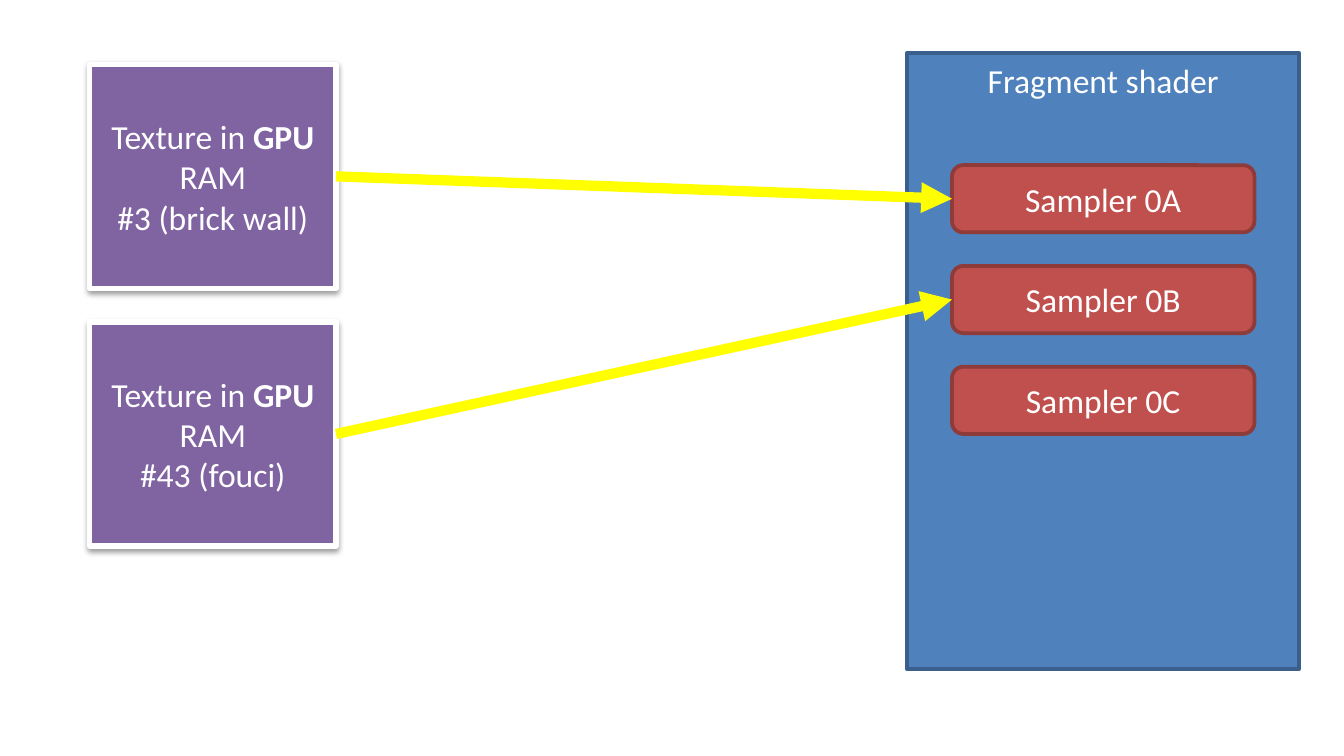
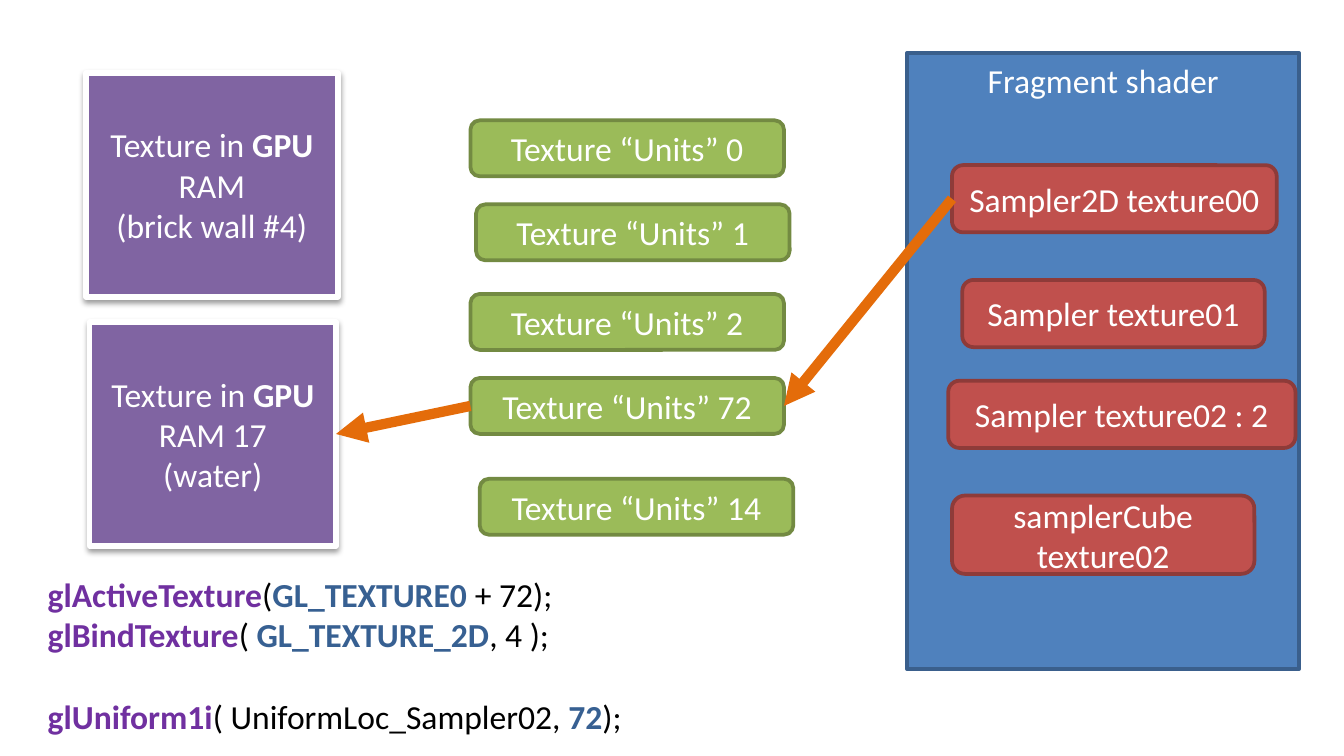
"""Build two slides on how textures reach the samplers of a fragment shader."""
from dataclasses import dataclass

from lxml import etree
from pptx import Presentation
from pptx.dml.color import RGBColor
from pptx.enum import shapes, text
from pptx.oxml import ns
from pptx.util import Pt


@dataclass(frozen=True)
class Theme:
    font: str = "Calibri"
    size: float = 18
    white: str = "FFFFFF"
    black: str = "000000"
    texture: str = "8064A2"
    shader: tuple = ("4F81BD", "3A5F8C")
    sampler: tuple = ("C0504D", "8E3B39")
    unit: tuple = ("9BBB59", "738A42")
    direct: str = "FFFF00"
    routed: str = "E46C0A"
    function: str = "7030A0"
    constant: str = "376092"
    outline: float = 2
    frame: float = 3
    arrow: float = 5.5


class Deck:
    def __init__(self, prs, theme):
        self.prs, self.theme, self.s = prs, theme, None

    def slide(self):
        self.s = self.prs.slides.add_slide(self.prs.slide_layouts[6])

    def add_runs(self, p, runs):
        for words, color, bold in runs:
            r = p.add_run()
            r.text = words
            r.font.name = self.theme.font
            r.font.size = Pt(self.theme.size)
            r.font.bold = bold
            r.font.color.rgb = RGBColor.from_string(color)

    def box(self, kind, at, fill, line, width, lines):
        sp = self.s.shapes.add_shape(kind, *map(Pt, at))
        sp.shadow.inherit = False
        sp.fill.solid()
        sp.fill.fore_color.rgb = RGBColor.from_string(fill)
        sp.line.color.rgb = RGBColor.from_string(line)
        sp.line.width = Pt(width)
        tf = sp.text_frame
        tf.word_wrap = True
        tf.vertical_anchor = text.MSO_ANCHOR.MIDDLE
        for i, runs in enumerate(lines):
            p = tf.add_paragraph() if i else tf.paragraphs[0]
            p.alignment = text.PP_ALIGN.CENTER
            self.add_runs(p, [(words, self.theme.white, bold) for words, bold in runs])
        return sp

    def texture(self, x, y, w, memory, name):
        t = self.theme
        lines = [[("Texture in ", False), ("GPU", True), (memory, False)], [(name, False)]]
        sp = self.box(shapes.MSO_SHAPE.RECTANGLE, (x, y, w, 120),
                      t.texture, t.white, t.frame, lines)
        effects = sp._element.spPr.find(ns.qn("a:effectLst"))
        shadow = etree.SubElement(effects, ns.qn("a:outerShdw"), blurRad=str(Pt(3.1)),
                                  dist=str(Pt(1.6)), dir="5400000", rotWithShape="0")
        color = etree.SubElement(shadow, ns.qn("a:srgbClr"), val=t.black)
        etree.SubElement(color, ns.qn("a:alpha"), val="38000")
        return sp

    def shader(self):
        sp = self.box(shapes.MSO_SHAPE.RECTANGLE, (486, 28.5, 210, 330),
                      *self.theme.shader, self.theme.outline, [[("Fragment shader", False)]])
        sp.text_frame.vertical_anchor = text.MSO_ANCHOR.TOP

    def pill(self, label, colors, x, y, w, h):
        return self.box(shapes.MSO_SHAPE.ROUNDED_RECTANGLE, (x, y, w, h),
                        *colors, self.theme.outline, [[(label, False)]])

    def sampler(self, label, x, y, w=162, h=36):
        return self.pill(label, self.theme.sampler, x, y, w, h)

    def unit(self, number, x, y):
        return self.pill(f"Texture “Units” {number}", self.theme.unit, x, y, 168, 30)

    def arrow(self, start, start_side, end, end_side, color):
        c = self.s.shapes.add_connector(shapes.MSO_CONNECTOR.STRAIGHT, 0, 0, 0, 0)
        c.begin_connect(start, start_side)
        c.end_connect(end, end_side)
        c.line.color.rgb = RGBColor.from_string(color)
        c.line.width = Pt(self.theme.arrow)
        pr = c._element.spPr
        etree.SubElement(pr.find(ns.qn("a:ln")), ns.qn("a:tailEnd"), type="triangle")
        etree.SubElement(pr, ns.qn("a:effectLst"))

    def code(self, at, lines):
        tf = self.s.shapes.add_textbox(*map(Pt, at)).text_frame
        tf.word_wrap = True
        tf.auto_size = text.MSO_AUTO_SIZE.SHAPE_TO_FIT_TEXT
        for i, (gap, runs) in enumerate(lines):
            p = tf.add_paragraph() if i else tf.paragraphs[0]
            p.space_before = Pt(gap)
            self.add_runs(p, runs)


def direct_slide(deck):
    deck.slide()
    textures = [deck.texture(48, y, 132, " RAM", name)
                for y, name in ((34.5, "#3 (brick wall)"), (172.5, "#43 (fouci)"))]
    deck.shader()
    samplers = [deck.sampler(f"Sampler 0{letter}", 510, 88.5 + 54 * i)
                for i, letter in enumerate("ABC")]
    for texture, sampler in zip(textures, samplers):
        deck.arrow(texture, 3, sampler, 1, deck.theme.direct)


def units_slide(deck):
    t = deck.theme
    deck.slide()
    deck.texture(46, 39, 135, " RAM", "(brick wall #4)")
    water = deck.texture(48, 172.5, 132, " RAM 17", "(water)")
    deck.shader()
    sampler = deck.sampler("Sampler2D texture00", 510, 88.5, 174)
    deck.sampler("Sampler texture01", 515.5, 150)
    deck.sampler("Sampler texture02 : 2", 508, 204, 186)
    deck.sampler("samplerCube texture02", 510, 265.5, h=42)
    places = {0: (252, 64.5), 1: (255, 109.5), 2: (252, 157.5),
              72: (252, 202.5), 14: (257, 256.5)}
    units = {number: deck.unit(number, *place) for number, place in places.items()}
    deck.arrow(sampler, 1, units[72], 3, t.routed)
    deck.arrow(units[72], 1, water, 3, t.routed)
    deck.code((18.5, 304, 366, 94.5), [
        (0, [("glActiveTexture", t.function, True), ("(", t.black, False),
             ("GL_TEXTURE0", t.constant, True), (" + 72);", t.black, False)]),
        (0, [("glBindTexture", t.function, True), ("( ", t.black, False),
             ("GL_TEXTURE_2D", t.constant, True), (", 4 );", t.black, False)]),
        (22, [("glUniform1i", t.function, True),
              ("( UniformLoc_Sampler02, ", t.black, False),
              ("72", t.constant, True), (");", t.black, False)]),
    ])


def main():
    prs = Presentation()
    prs.slide_width, prs.slide_height = Pt(720), Pt(405)
    deck = Deck(prs, Theme())
    direct_slide(deck)
    units_slide(deck)
    prs.save("out.pptx")


if __name__ == "__main__":
    main()
